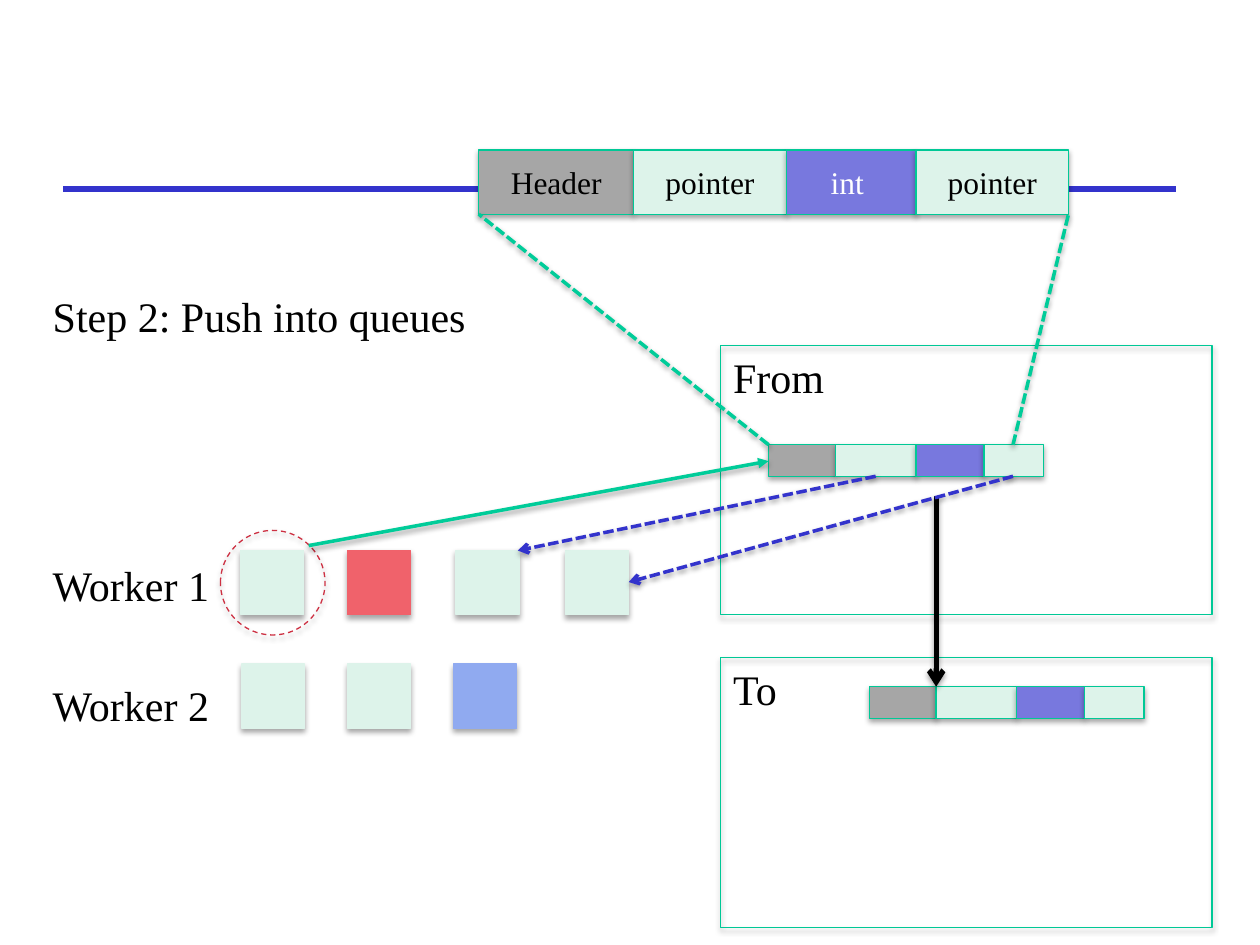
import pptx
import pptx.util
import pptx.dml.color
import pptx.enum.dml
import pptx.enum.shapes
import pptx.enum.text
import pptx.oxml.ns
from lxml import etree

Inches = pptx.util.Inches
Pt = pptx.util.Pt
qn = pptx.oxml.ns.qn
SHAPE = pptx.enum.shapes.MSO_SHAPE
DASH = pptx.enum.dml.MSO_LINE

FONT = "Times New Roman"
COLORS = {
    "black": "000000", "white": "FFFFFF", "gray": "A6A6A6", "mint": "DDF3EA",
    "violet": "7878DE", "red": "F0626B", "blue": "90AAF0", "border": "00C896",
    "green": "00CC99", "navy": "3333CC", "ring": "CD3042",
}
FIELD_FILLS = ["gray", "mint", "violet", "mint"]
SMALL_WIDTHS = [0.53, 0.64, 0.54, 0.47]


def rgb(name):
    return pptx.dml.color.RGBColor.from_string(COLORS[name])


def add_shadow(spPr, distance, opacity):
    """Put a soft downward shadow into the shape properties."""
    effects = spPr.find(qn("a:effectLst"))
    if effects is None:
        effects = etree.SubElement(spPr, qn("a:effectLst"))
    shadow = etree.SubElement(effects, qn("a:outerShdw"), blurRad="40000",
                              dist=str(distance), dir="5400000", rotWithShape="0")
    color = etree.SubElement(shadow, qn("a:srgbClr"), val=COLORS["black"])
    etree.SubElement(color, qn("a:alpha"), val=str(opacity * 1000))


def add_box(s, x, y, w, h, fill, line, kind=SHAPE.RECTANGLE, dash=None):
    sp = s.shapes.add_shape(kind, Inches(x), Inches(y), Inches(w), Inches(h))
    if fill:
        sp.fill.solid()
        sp.fill.fore_color.rgb = rgb(fill)
    else:
        sp.fill.background()
    sp.line.color.rgb = rgb(line)
    sp.line.width = Pt(0.75)
    if dash:
        sp.line.dash_style = dash
    sp.shadow.inherit = False
    add_shadow(sp._element.spPr, 23000, 35)
    return sp


def set_font(p, size, color):
    p.font.name = FONT
    p.font.size = Pt(size)
    p.font.color.rgb = rgb(color)


def add_record(s, x, y, widths, h, labels=()):
    """Draw an object as a row of adjoining fields."""
    for i, (w, fill) in enumerate(zip(widths, FIELD_FILLS)):
        sp = add_box(s, x, y, w, h, fill, "border")
        if labels:
            tf = sp.text_frame
            tf.vertical_anchor = pptx.enum.text.MSO_ANCHOR.MIDDLE
            p = tf.paragraphs[0]
            p.text = labels[i]
            p.alignment = pptx.enum.text.PP_ALIGN.CENTER
            set_font(p, 18, "white" if fill == "violet" else "black")
        x += w


def add_label(s, x, y, w, text):
    tf = s.shapes.add_textbox(Inches(x), Inches(y), Inches(w), Inches(0.5)).text_frame
    tf.word_wrap = False
    tf.auto_size = pptx.enum.text.MSO_AUTO_SIZE.SHAPE_TO_FIT_TEXT
    p = tf.paragraphs[0]
    p.text = text
    set_font(p, 24, "black")


def add_line(s, start, end, color, width=2, dash=None, head=None, shadow=True):
    cn = s.shapes.add_connector(pptx.enum.shapes.MSO_CONNECTOR.STRAIGHT,
                                *map(Inches, start + end))
    cn.line.color.rgb = rgb(color)
    cn.line.width = Pt(width)
    if dash:
        cn.line.dash_style = dash
    spPr = cn._element.spPr
    if head:
        etree.SubElement(spPr.find(qn("a:ln")), qn("a:tailEnd"), type=head)
    if shadow:
        add_shadow(spPr, 20000, 38)
    else:
        etree.SubElement(spPr, qn("a:effectLst"))


def main():
    prs = pptx.Presentation()
    prs.slide_width, prs.slide_height = Inches(10), Inches(7.5)
    s = prs.slides.add_slide(prs.slide_layouts[6])

    # Title rule
    add_line(s, (0.5, 1.5), (9.33, 1.5), "navy", 3, shadow=False)

    # Worker queues
    queues = [
        ("Worker 1", 4.39, 4.37, [(1.91, "mint"), (2.76, "red"), (3.62, "mint"), (4.49, "mint")]),
        ("Worker 2", 5.34, 5.27, [(1.92, "mint"), (2.76, "mint"), (3.6, "blue")]),
    ]
    for name, label_y, y, tasks in queues:
        add_label(s, 0.32, label_y, 1.45, name)
        for x, fill in tasks:
            add_box(s, x, y, 0.5, 0.51, fill, fill)
    add_box(s, 1.75, 4.21, 0.83, 0.83, None, "ring", SHAPE.OVAL, DASH.DASH)
    add_label(s, 0.32, 2.26, 3.52, "Step 2: Push into queues")

    # Enlarged object layout
    add_record(s, 3.8, 1.19, [1.23, 1.21, 1.03, 1.21], 0.51,
               ["Header", "pointer", "int ", "pointer"])

    # Memory spaces, each holding the object
    for name, y, label_w, record_x, record_y in [("From", 2.74, 0.92, 6.1, 3.53),
                                                 ("To", 5.22, 0.57, 6.9, 5.45)]:
        add_box(s, 5.72, y, 3.9, 2.14, None, "border")
        add_label(s, 5.72, y, label_w, name)
        add_record(s, record_x, record_y, SMALL_WIDTHS, 0.25)

    # Zoom lines, references and the copying arrow
    add_line(s, (2.45, 4.33), (6.1, 3.66), "green", head="triangle")
    for start, end in [((6.1, 3.53), (3.8, 1.7)), ((8.04, 3.53), (8.48, 1.7))]:
        add_line(s, start, end, "green", dash=DASH.SQUARE_DOT)
    add_line(s, (7.43, 3.94), (7.43, 5.45), "black", 3, head="arrow")
    for start, end in [((6.95, 3.78), (4.11, 4.37)), ((8.04, 3.78), (4.99, 4.62))]:
        add_line(s, start, end, "navy", dash=DASH.SQUARE_DOT, head="arrow")

    prs.save("out.pptx")


if __name__ == "__main__":
    main()
